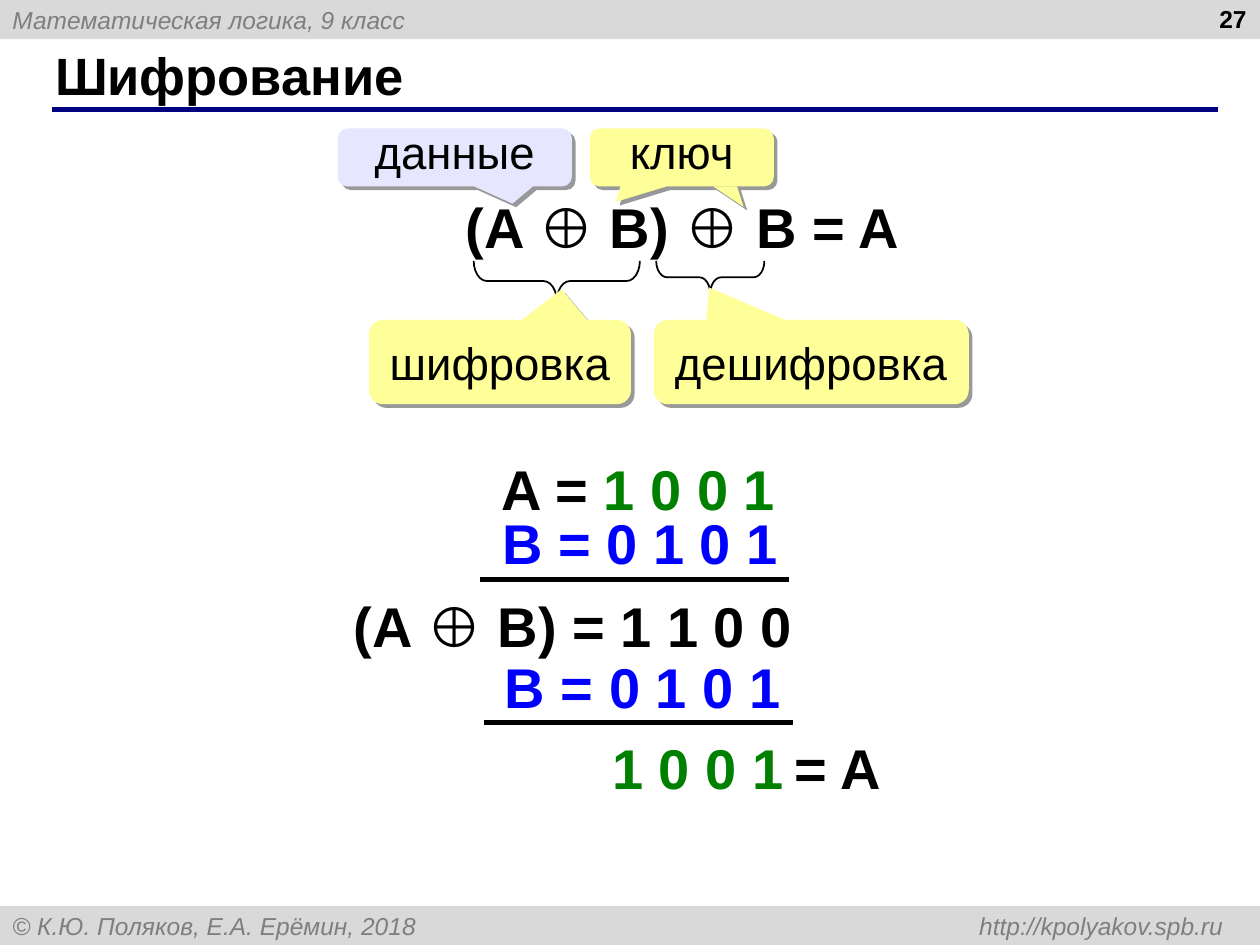
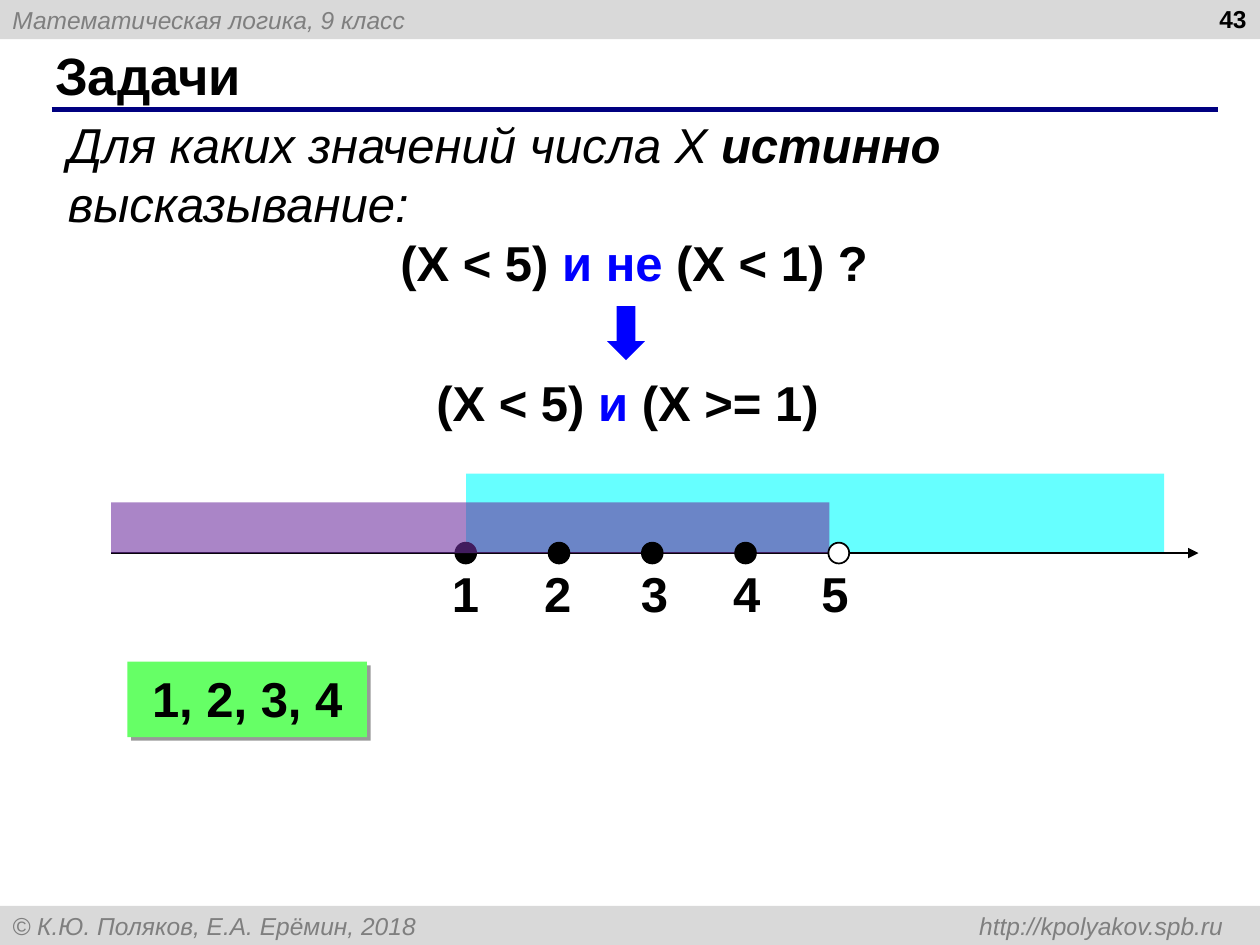
from dataclasses import dataclass

from lxml import etree
from pptx import Presentation
from pptx import util as u
from pptx.dml.color import RGBColor
from pptx.enum import shapes, text
from pptx.oxml import ns

Cm = u.Cm
KIND = shapes.MSO_SHAPE
LEFT, CENTER, RIGHT = text.PP_ALIGN.LEFT, text.PP_ALIGN.CENTER, text.PP_ALIGN.RIGHT
TOP, MIDDLE = text.MSO_ANCHOR.TOP, text.MSO_ANCHOR.MIDDLE


@dataclass(frozen=True)
class Theme:
    font: str = "Arial"
    ink: str = "000000"
    muted: str = "7F7F7F"
    band: str = "D9D9D9"
    rule: str = "000080"
    blue: str = "0000FF"
    green: str = "008000"
    yellow: str = "FFFF99"
    lilac: str = "E6E6FF"
    cyan: str = "66FFFF"
    purple: str = "7030A0"
    answer: str = "66FF66"
    white: str = "FFFFFF"
    small: int = 14
    callout: int = 26
    body: int = 28
    title: int = 30
    formula: int = 32


THEME = Theme()
WIDTH, HEIGHT, BAND = 25.4, 19.05, 0.79


def add_xml(parent, tag, **attributes):
    return etree.SubElement(parent, ns.qn(tag), {k: str(v) for k, v in attributes.items()})


def write(paragraph, runs, size, align=LEFT):
    """Append runs given as (words, style letters, colour)."""
    paragraph.alignment = align
    for words, style, colour in runs:
        run = paragraph.add_run()
        run.text = words
        run.font.name = THEME.font
        run.font.size = u.Pt(size)
        run.font.bold = "b" in style
        run.font.italic = "i" in style
        run.font.color.rgb = RGBColor.from_string(colour)


def set_frame(frame, anchor, top=0.13):
    frame.word_wrap = True
    frame.vertical_anchor = anchor
    frame.margin_left = frame.margin_right = Cm(0.25)
    frame.margin_top, frame.margin_bottom = Cm(top), Cm(0.13)


def add_text(slide, box, runs, size, align=LEFT, anchor=TOP, top=0.13):
    frame = slide.shapes.add_textbox(*map(Cm, box)).text_frame
    set_frame(frame, anchor, top)
    write(frame.paragraphs[0], runs, size, align)
    return frame


def paint(shape, colour, outline=None):
    shape.shadow.inherit = False
    shape.fill.solid()
    shape.fill.fore_color.rgb = RGBColor.from_string(colour)
    if outline:
        shape.line.color.rgb = RGBColor.from_string(outline)
        shape.line.width = u.Pt(1)
    else:
        shape.line.fill.background()


def add_figure(slide, kind, box, colour, outline=None):
    figure = slide.shapes.add_shape(kind, *map(Cm, box))
    paint(figure, colour, outline)
    return figure


def drop_shadow(shape):
    effects = shape.element.spPr.find(ns.qn("a:effectLst"))
    shadow = add_xml(effects, "a:outerShdw", blurRad=0, dist=u.Pt(3), dir=45 * 60000,
                     algn="ctr", rotWithShape=0)
    add_xml(add_xml(shadow, "a:srgbClr", val=THEME.ink), "a:alpha", val=40000)


def add_line(slide, start, end, y, colour, width, arrow=False):
    line = slide.shapes.add_connector(shapes.MSO_CONNECTOR.STRAIGHT,
                                      Cm(start), Cm(y), Cm(end), Cm(y))
    line.line.color.rgb = RGBColor.from_string(colour)
    line.line.width = u.Pt(width)
    if arrow:
        add_xml(line.line._get_or_add_ln(), "a:tailEnd", type="triangle")
    add_xml(line.element.spPr, "a:effectLst")


def add_callout(slide, box, words, colour, tip, spacing=1.0, top=0.13):
    callout = add_figure(slide, KIND.ROUNDED_RECTANGULAR_CALLOUT, box, colour)
    callout.adjustments[0], callout.adjustments[1] = tip
    drop_shadow(callout)
    set_frame(callout.text_frame, MIDDLE, top)
    paragraph = callout.text_frame.paragraphs[0]
    paragraph.line_spacing = spacing
    write(paragraph, [(words, "", THEME.ink)], THEME.callout, CENTER)


def add_second_tip(slide, points):
    start, *rest = [(Cm(x), Cm(y)) for x, y in points]
    outline = slide.shapes.build_freeform(*start)
    outline.add_line_segments(rest, close=True)
    tip = outline.convert_to_shape()
    paint(tip, THEME.yellow)
    drop_shadow(tip)


def add_underbrace(slide, left, top, width, depth):
    """A left brace turned so that its point looks down."""
    box = (left + (width - depth) / 2, top - (width - depth) / 2, depth, width)
    brace = slide.shapes.add_shape(KIND.LEFT_BRACE, *map(Cm, box))
    brace.shadow.inherit = False
    brace.rotation = 270
    brace.adjustments[0] = 0.33
    brace.fill.background()
    brace.line.color.rgb = RGBColor.from_string(THEME.ink)
    brace.line.width = u.Pt(1)


def add_band(slide, y, words, tab=None):
    band = add_figure(slide, KIND.RECTANGLE, (0, y, WIDTH, BAND), THEME.band)
    set_frame(band.text_frame, MIDDLE)
    paragraph = band.text_frame.paragraphs[0]
    if tab:
        stops = add_xml(paragraph._p.get_or_add_pPr(), "a:tabLst")
        add_xml(stops, "a:tab", pos=Cm(tab), algn="r")
    write(paragraph, [(words, "i", THEME.muted)], THEME.small)


def new_slide(deck, title, number):
    slide = deck.slides.add_slide(deck.slide_layouts[6])
    add_band(slide, 0, "Математическая логика, 9 класс")
    add_band(slide, HEIGHT - BAND,
             "© К.Ю. Поляков, Е.А. Ерёмин, 2018\thttp://kpolyakov.spb.ru", tab=24.41)
    add_line(slide, 1.04, 24.56, 2.21, THEME.rule, 3)
    add_text(slide, (0.86, 0.84, 23.27, 1.32), [(title, "b", THEME.ink)],
             THEME.title, anchor=MIDDLE)
    add_text(slide, (19.46, 0, 5.92, 1.32), [(number, "b", THEME.ink)],
             THEME.small, RIGHT, top=0.08)
    return slide


def encryption(deck):
    slide = new_slide(deck, "Шифрование", "27")
    add_text(slide, (9.14, 3.76, 10.19, 1.63), [("(A ⊕ B) ⊕ B = A", "b", THEME.ink)],
             THEME.formula)
    add_callout(slide, (11.89, 2.59, 3.71, 1.17), "ключ", THEME.yellow,
                (-0.358, 0.765), 0.8, 0.1)
    add_second_tip(slide, [(14.38, 3.76), (14.99, 4.17), (14.86, 3.76)])
    add_callout(slide, (6.81, 2.59, 4.72, 1.17), "данные", THEME.lilac,
                (0.246, 0.795), 0.8, 0.1)
    add_underbrace(slide, 9.55, 5.26, 3.35, 0.81)
    add_callout(slide, (7.44, 6.45, 5.28, 1.7), "шифровка", THEME.yellow, (0.235, -0.864))
    add_underbrace(slide, 13.23, 5.26, 2.18, 0.66)
    add_callout(slide, (13.18, 6.45, 6.35, 1.7), "дешифровка", THEME.yellow,
                (-0.324, -0.885))

    key = [("B = 0 1 0 1", "b", THEME.blue)]
    data = ("1 0 0 1", "b", THEME.green)
    calculation = [
        (9.86, 9.04, [("A = ", "b", THEME.ink), data]),
        (9.88, 10.13, key),
        (6.88, 11.79, [("(A ⊕ B) = 1 1 0 0", "b", THEME.ink)]),
        (9.93, 13.03, key),
        (12.09, 14.66, [data]),
        (15.77, 14.66, [("= A", "b", THEME.ink)]),
    ]
    for x, y, runs in calculation:
        add_text(slide, (x, y, 10.7, 1.63), runs, THEME.formula)
    for x, y in [(9.68, 11.68), (9.75, 14.56)]:
        add_line(slide, x, x + 6.23, y, THEME.ink, 3)


def add_axis_point(slide, x, colour, label, label_x):
    add_figure(slide, KIND.OVAL, (x, 10.94, 0.42, 0.42), colour, THEME.ink)
    add_text(slide, (label_x, 11.23, 1.4, 1.45), [(label, "b", THEME.ink)], THEME.body)


def add_number_line(slide):
    axis_y, first, step = 11.15, 9.18, 1.88
    label_lefts = [8.86, 10.72, 12.67, 14.53, 16.31]
    add_figure(slide, KIND.RECTANGLE, (9.4, axis_y - 1.6, 14.07, 1.6), THEME.cyan)
    add_line(slide, 2.24, 24.16, axis_y, THEME.ink, 1, arrow=True)
    for i, label_x in enumerate(label_lefts):
        open_end = i == len(label_lefts) - 1
        add_axis_point(slide, first + i * step, THEME.white if open_end else THEME.ink,
                       str(i + 1), label_x)
        if i == 0:  # the less-than-5 range lies over the first point only
            below_five = add_figure(slide, KIND.RECTANGLE,
                                    (2.24, axis_y - 1.02, 14.48, 1.02), THEME.purple)
            fill = below_five.element.spPr.find(ns.qn("a:solidFill"))
            add_xml(fill[0], "a:alpha", val=59000)


def tasks(deck):
    slide = new_slide(deck, "Задачи", "43")
    question = add_text(slide, (1.12, 2.18, 23.6, 3.81), [
        ("Для каких значений числа X ", "i", THEME.ink),
        ("истинно", "bi", THEME.ink),
        (" высказывание:", "i", THEME.ink)], THEME.body, anchor=MIDDLE)
    write(question.add_paragraph(), [
        ("(X < 5) ", "b", THEME.ink), ("и не", "b", THEME.blue),
        (" (X < 1) ? ", "b", THEME.ink)], THEME.body, CENTER)
    add_text(slide, (0.85, 7.37, 23.6, 1.45), [
        ("(X < 5) ", "b", THEME.ink), ("и", "b", THEME.blue),
        (" (X >= 1)", "b", THEME.ink)], THEME.body, CENTER, MIDDLE)
    add_number_line(slide)
    answer = add_figure(slide, KIND.RECTANGLE, (2.57, 13.34, 4.83, 1.52), THEME.answer)
    drop_shadow(answer)
    set_frame(answer.text_frame, TOP)
    write(answer.text_frame.paragraphs[0], [("1, 2, 3, 4", "b", THEME.ink)],
          THEME.body, CENTER)
    add_figure(slide, KIND.DOWN_ARROW, (12.24, 6.17, 0.76, 1.09), THEME.blue)


def main():
    deck = Presentation()
    deck.slide_width, deck.slide_height = Cm(WIDTH), Cm(HEIGHT)
    encryption(deck)
    tasks(deck)
    deck.save("out.pptx")


if __name__ == "__main__":
    main()
